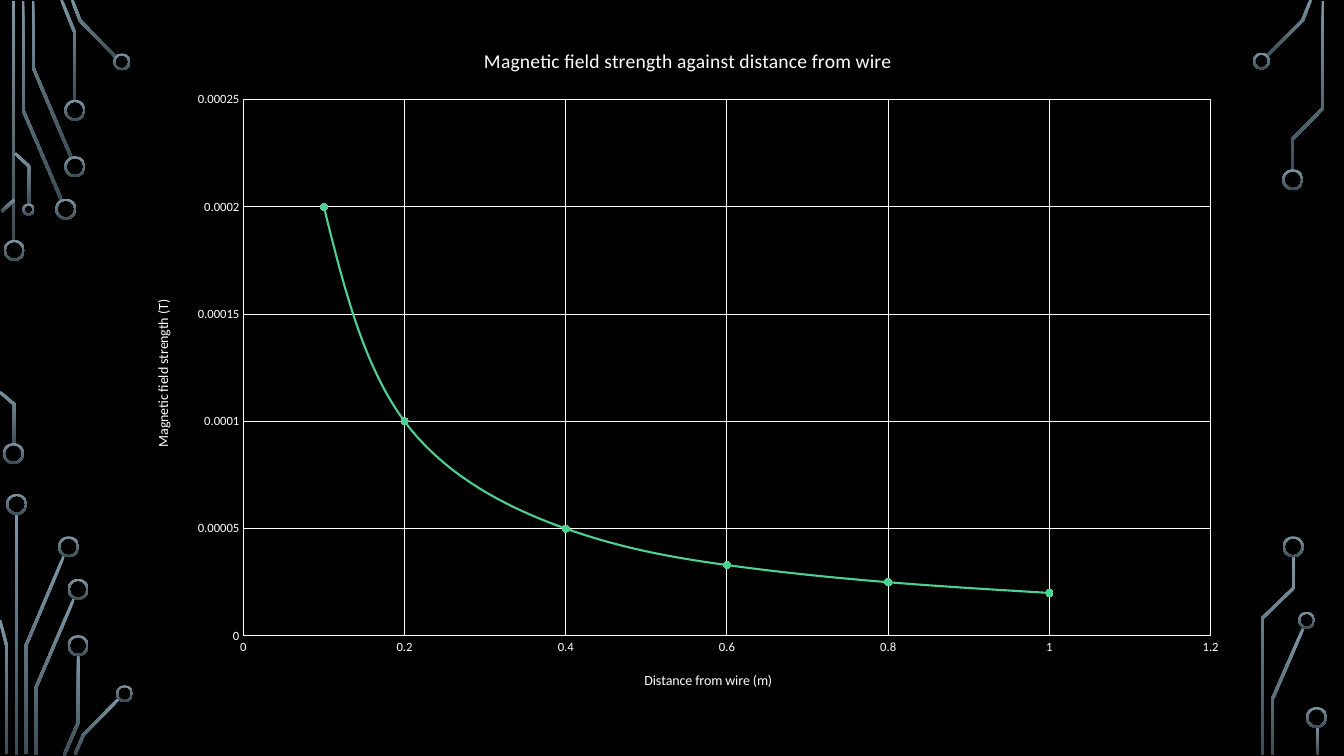
import math

from lxml import etree
from pptx import Presentation
from pptx.chart.data import XyChartData
from pptx.dml.color import RGBColor
from pptx.enum.chart import XL_CHART_TYPE, XL_MARKER_STYLE, XL_TICK_MARK
from pptx.enum.shapes import MSO_SHAPE
from pptx.oxml.ns import qn
from pptx.util import Cm, Pt

SMOOTH_SCATTER = XL_CHART_TYPE.XY_SCATTER_SMOOTH
CIRCLE = XL_MARKER_STYLE.CIRCLE
NO_TICK = XL_TICK_MARK.NONE
DONUT = MSO_SHAPE.DONUT

FONT = "Calibri"
COLORS = {
    "background": "000000",
    "text": "FFFFFF",
    "grid": "FFFFFF",
    "curve": "4FD093",
    "circuit_top": "7C96A3",
    "circuit_bottom": "3B4C54",
}

# All circuit measures are centimetres.
TRACE_WIDTH = 0.07
RING_WIDTH = 0.05
LARGE, MEDIUM, SMALL = 0.53, 0.43, 0.31

# Centre lines of the circuit traces
TRACES = [
    [(0.34, 0.03), (0.34, 6.1)],
    [(0.58, 0.03), (0.58, 2.77), (1.55, 5.04)],
    [(0.83, 0.03), (0.83, 1.69), (1.8, 3.98)],
    [(1.55, 0), (1.89, 0.84), (1.89, 2.54)],
    [(1.82, 0), (2.02, 0.52), (2.93, 1.45)],
    [(0.04, 5.33), (0.36, 5.03)],
    [(0, 9.88), (0.36, 10.19), (0.36, 11.2)],
    [(0.38, 3.86), (0.74, 4.2), (0.74, 5.16)],
    [(0.42, 12.95), (0.42, 19.02)],
    [(1.61, 14.01), (0.65, 16.28), (0.65, 19)],
    [(0, 15.63), (0.17, 16.28), (0.17, 19)],
    [(1.87, 15.07), (0.9, 17.34), (0.9, 19.02)],
    [(1.97, 16.51), (1.97, 18.21), (1.61, 19.04)],
    [(3, 17.6), (2.1, 18.52), (1.89, 19.01)],
    [(33.03, 0), (32.83, 0.51), (31.93, 1.41)],
    [(32.84, 15.84), (32.07, 17.61), (32.07, 19.02)],
    [(33.34, 0.03), (33.34, 2.73), (32.56, 3.52), (32.56, 4.29)],
    [(32.6, 14.02), (32.6, 14.82), (31.81, 15.58), (31.81, 19.02)],
    [(33.21, 18.31), (33.21, 19.02)],
]

# Centre and diameter of the rings that end the traces
NODES = [
    (0.36, 6.31, LARGE), (0.34, 11.43, LARGE), (1.66, 5.27, LARGE),
    (1.89, 4.2, LARGE), (1.89, 2.78, LARGE), (3.07, 1.56, MEDIUM),
    (0.72, 5.28, SMALL), (0.42, 12.71, LARGE), (1.73, 13.78, LARGE),
    (1.97, 14.85, LARGE), (1.97, 16.27, LARGE), (3.14, 17.48, MEDIUM),
    (31.79, 1.54, MEDIUM), (32.58, 4.53, LARGE), (32.93, 15.63, MEDIUM),
    (32.59, 13.78, LARGE), (33.18, 18.08, LARGE),
]

FIELD_POINTS = [
    (0.1, 0.0002), (0.2, 0.0001), (0.4, 0.00005),
    (0.6, 0.000033), (0.8, 0.000025), (1, 0.00002),
]


def color(name):
    return RGBColor.from_string(COLORS[name])


def style_circuit(shape):
    shape.shadow.inherit = False
    shape.line.fill.background()
    shape.fill.gradient()
    shape.fill.gradient_angle = 270
    for stop, name in zip(shape.fill.gradient_stops, ("circuit_top", "circuit_bottom")):
        stop.color.rgb = color(name)


def trace_outline(points):
    """Return the closed outline of a mitred line along the points."""
    angles = [math.atan2(y2 - y1, x2 - x1)
              for (x1, y1), (x2, y2) in zip(points, points[1:])]
    left, right = [], []
    for (x, y), before, after in zip(points, angles[:1] + angles, angles + angles[-1:]):
        normal = (before + after) / 2 + math.pi / 2
        reach = TRACE_WIDTH / 2 / math.cos((after - before) / 2)
        dx, dy = reach * math.cos(normal), reach * math.sin(normal)
        left.append((x + dx, y + dy))
        right.append((x - dx, y - dy))
    return left + right[::-1]


def add_trace(slide, points):
    start, *others = [(Cm(x), Cm(y)) for x, y in trace_outline(points)]
    builder = slide.shapes.build_freeform(*start)
    builder.add_line_segments(others, close=True)
    style_circuit(builder.convert_to_shape())


def add_node(slide, x, y, diameter):
    node = slide.shapes.add_shape(
        DONUT, Cm(x - diameter / 2), Cm(y - diameter / 2), Cm(diameter), Cm(diameter))
    node.adjustments[0] = RING_WIDTH / diameter
    style_circuit(node)


def style_font(font, size):
    font.name = FONT
    font.size = Pt(size)
    font.bold = False
    font.color.rgb = color("text")


def set_title(owner, text, size):
    """Title a chart or an axis."""
    owner.has_title = True
    run = owner.text_frame.paragraphs[0].add_run() if hasattr(owner, "text_frame") else (
        (owner.chart_title if hasattr(owner, "chart_title") else owner.axis_title)
        .text_frame.paragraphs[0].add_run())
    run.text = text
    style_font(run.font, size)


def style_axis(axis, title, maximum, step):
    set_title(axis, title, 10)
    axis.minimum_scale = 0
    axis.maximum_scale = maximum
    axis.major_unit = step
    axis.major_tick_mark = axis.minor_tick_mark = NO_TICK
    style_font(axis.tick_labels.font, 9)
    axis.tick_labels.number_format = "General"
    axis.tick_labels.number_format_is_linked = False
    axis.has_major_gridlines = True
    for line in (axis.format.line, axis.major_gridlines.format.line):
        line.color.rgb = color("grid")
        line.width = Pt(0.75)


def place_plot(chart, x, y, width, height):
    """Fix the inner plot area, in fractions of the chart."""
    plot_area = chart.plots[0]._element.getparent()
    for old_layout in plot_area.findall(qn("c:layout")):
        plot_area.remove(old_layout)
    layout = etree.Element(qn("c:layout"))
    plot_area.insert(0, layout)
    manual = etree.SubElement(layout, qn("c:manualLayout"))
    settings = [("layoutTarget", "inner"), ("xMode", "edge"), ("yMode", "edge"),
                ("x", x), ("y", y), ("w", width), ("h", height)]
    for tag, value in settings:
        etree.SubElement(manual, qn(f"c:{tag}")).set("val", str(value))


def style_curve(series):
    series.format.line.color.rgb = color("curve")
    series.format.line.width = Pt(1.5)
    series._element.find(qn("c:smooth")).set("val", "1")
    marker = series.marker
    marker.style = CIRCLE
    marker.size = 5
    marker.format.fill.solid()
    marker.format.fill.fore_color.rgb = color("curve")
    marker.format.line.color.rgb = color("curve")


def add_field_chart(slide):
    data = XyChartData()
    series = data.add_series("Series 1")
    for distance, strength in FIELD_POINTS:
        series.add_data_point(distance, strength)
    chart = slide.shapes.add_chart(
        SMOOTH_SCATTER, Cm(3.33), Cm(0.61), Cm(28.02), Cm(17.32), data).chart
    style_font(chart.font, 10)
    chart.has_legend = False
    chart.plots[0].vary_by_categories = False
    set_title(chart, "Magnetic field strength against distance from wire", 14)
    style_axis(chart.category_axis, "Distance from wire (m)", 1.2, 0.2)
    style_axis(chart.value_axis, "Magnetic field strength (T)", 0.00025, 0.00005)
    place_plot(chart, 0.1, 0.11, 0.87, 0.78)
    style_curve(chart.plots[0].series[0])


def main():
    presentation = Presentation()
    presentation.slide_width, presentation.slide_height = Cm(33.87), Cm(19.05)
    slide = presentation.slides.add_slide(presentation.slide_layouts[6])
    slide.background.fill.solid()
    slide.background.fill.fore_color.rgb = color("background")
    for points in TRACES:
        add_trace(slide, points)
    for node in NODES:
        add_node(slide, *node)
    add_field_chart(slide)
    presentation.save("out.pptx")


if __name__ == "__main__":
    main()
